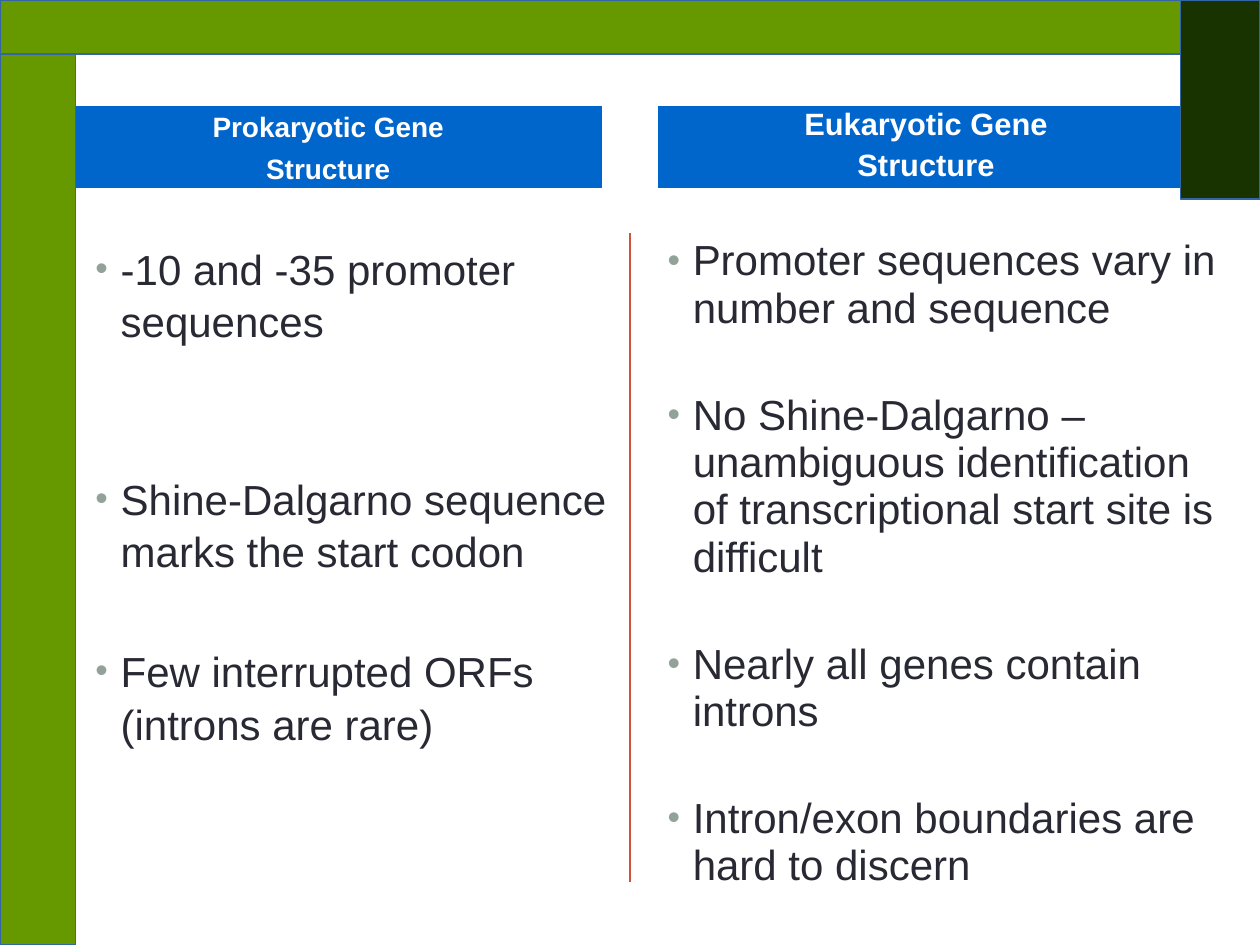
from lxml import etree
from pptx import Presentation
from pptx import util as u
from pptx.dml.color import RGBColor
from pptx.enum import shapes, text
from pptx.oxml.ns import qn

COLS, ROWS = 100, 75


def tint(code):
    return RGBColor.from_string(code)


class Deck:
    font = "Arial"
    ink, pale, blue = "292934", "FFFFFF", "0066CC"
    green, dark, edge = "669900", "193300", "3465A4"
    dot, rule = "93A299", "D2533C"

    def __init__(self):
        self.prs = Presentation()
        self.prs.slide_width, self.prs.slide_height = u.Inches(10), u.Inches(7.5)
        self.slide = self.prs.slides.add_slide(self.prs.slide_layouts[6])

    def place(self, col, row, wide, high):
        dx, dy = self.prs.slide_width / COLS, self.prs.slide_height / ROWS
        return [round(n) for n in (col * dx, row * dy, wide * dx, high * dy)]

    def block(self, area, fill, line, width):
        box = self.slide.shapes.add_shape(
            shapes.MSO_SHAPE.RECTANGLE, *self.place(*area))
        box.shadow.inherit = False
        box.fill.solid()
        box.fill.fore_color.rgb = tint(fill)
        box.line.color.rgb = tint(line)
        box.line.width = u.Pt(width)
        return box

    def label(self, frame, lines, gaps, look, size, color, bold=False, mark=False):
        frame.word_wrap = True
        for i, (line, gap) in enumerate(zip(lines, gaps)):
            para = frame.paragraphs[0] if i == 0 else frame.add_paragraph()
            for key, val in {**look, "space_before": u.Pt(gap)}.items():
                setattr(para, key, val)
            if mark:
                self.bullet(para)
            para.text = line
            face = {"name": self.font, "size": u.Pt(size), "bold": bold}
            for key, val in face.items():
                setattr(para.font, key, val)
            para.font.color.rgb = tint(color)

    def bullet(self, para):
        props = para._p.get_or_add_pPr()
        dent = u.Inches(0.2)
        props.set("marL", str(dent))
        props.set("indent", str(-dent))
        hue = etree.SubElement(props, qn("a:buClr"))
        etree.SubElement(hue, qn("a:srgbClr"), val=self.dot)
        etree.SubElement(props, qn("a:buSzPct"), val="85000")
        etree.SubElement(props, qn("a:buFont"), typeface=self.font)
        etree.SubElement(props, qn("a:buChar"), char="•")

    def head(self, area, lines, size, gap, pitch):
        box = self.block(area, self.blue, self.pale, 3.5)
        box.text_frame.vertical_anchor = text.MSO_ANCHOR.MIDDLE
        look = {"alignment": text.PP_ALIGN.CENTER, "line_spacing": pitch}
        self.label(box.text_frame, lines, (0, gap), look, size, self.pale, True)

    def list(self, area, lines, gaps, pitch):
        box = self.slide.shapes.add_textbox(*self.place(*area))
        look = {"alignment": text.PP_ALIGN.LEFT, "line_spacing": pitch}
        self.label(box.text_frame, lines, gaps, look, 24, self.ink, mark=True)

    def line(self, col, top, end):
        x, y, _, high = self.place(col, top, 0, end - top)
        bar = self.slide.shapes.add_connector(
            shapes.MSO_CONNECTOR.STRAIGHT, x, y, x, y + high)
        bar.line.color.rgb = tint(self.rule)
        bar.line.width = u.Pt(1.5)
        etree.SubElement(bar._element.spPr, qn("a:effectLst"))


def main():
    deck = Deck()
    deck.line(50, 18.5, 70)
    deck.head((4.1, 8.2, 43.9, 7), ("Prokaryotic Gene", "Structure"), 16, 5, 1.0)
    deck.list((6.6, 18.6, 43, 51.2), (
        "-10 and -35 promoter sequences",
        "Shine-Dalgarno sequence marks the start codon",
        "Few interrupted ORFs (introns are rare)",
    ), (0, 71, 38), 1.05)
    deck.head((52, 8.2, 43, 7), ("Eukaryotic Gene", "Structure"), 17.6, 6.4, 0.8)
    deck.list((52, 18.4, 47, 54.6), (
        "Promoter sequences vary in number and sequence",
        "No Shine-Dalgarno – unambiguous identification of transcriptional "
        "start site is difficult",
        "Nearly all genes contain introns",
        "Intron/exon boundaries are hard to discern",
    ), (0, 34, 34, 34), 0.94)
    for area, fill in (
        ((0, 0, 6, ROWS), deck.green),
        ((0, 0, COLS, 4.3), deck.green),
        ((93.7, 0, 6.3, 15.8), deck.dark),
    ):
        deck.block(area, fill, deck.edge, 0)
    deck.prs.save("out.pptx")


if __name__ == "__main__":
    main()
